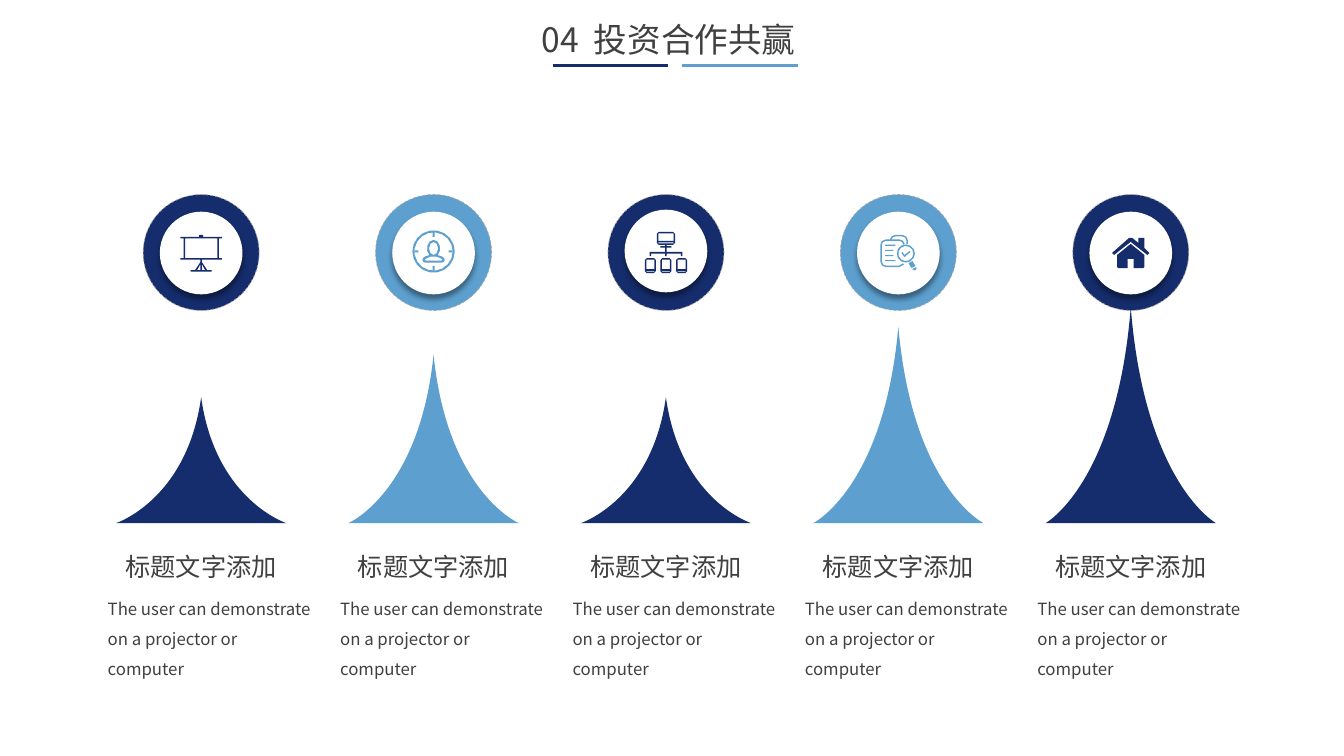
from dataclasses import dataclass
from math import cos, hypot, radians, sin

from lxml.etree import SubElement
from pptx import Presentation
from pptx.dml.color import RGBColor
from pptx.enum.dml import MSO_LINE
from pptx.enum.shapes import MSO_CONNECTOR, MSO_SHAPE
from pptx.enum.text import MSO_ANCHOR, MSO_AUTO_SIZE, PP_ALIGN
from pptx.oxml.ns import qn
from pptx.shapes.autoshape import Shape
from pptx.slide import Slide
from pptx.util import Inches, Pt

Point = tuple[float, float]
Outline = list[Point]

NAVY = RGBColor(0x15, 0x2D, 0x6C)
BLUE = RGBColor(0x5D, 0x9F, 0xCE)
WHITE = RGBColor(0xFF, 0xFF, 0xFF)
GREY = RGBColor(0xA6, 0xA6, 0xA6)
INK = RGBColor(0x40, 0x40, 0x40)
FONT = "Noto Sans CJK SC"
LEFT, PITCH = 1.995, 2.305
BASE, HALF = 5.19, 0.845
ICON_Y = 2.5


@dataclass
class Column:
    color: RGBColor
    peak: float
    bend: float
    icon: list[Outline]
    disc: float = 2.1


def arc(x: float, y: float, wide: float, high: float, start: float = 0, end: float = 360) -> Outline:
    steps = max(1, round((end - start) * wide ** 0.5 / 90))
    turns = [radians(start + (end - start) * i / steps) for i in range(steps + 1)]
    return [(x + wide * cos(t), y + high * sin(t)) for t in turns]


def box(left: float, top: float, right: float, bottom: float, curve: float = 0) -> Outline:
    if not curve:
        return [(left, top), (right, top), (right, bottom), (left, bottom)]
    spots = [(right - curve, bottom - curve), (left + curve, bottom - curve),
             (left + curve, top + curve), (right - curve, top + curve)]
    return [p for i, (x, y) in enumerate(spots)
            for p in arc(x, y, curve, curve, 90 * i, 90 * i + 90)]


def band(line: Outline, width: float) -> Outline:
    one, two = [], []
    for i, (x, y) in enumerate(line):
        before, after = line[max(i - 1, 0)], line[min(i + 1, len(line) - 1)]
        run, rise = after[0] - before[0], after[1] - before[1]
        size = hypot(run, rise) * 2 / width
        one.append((x - rise / size, y + run / size))
        two.append((x + rise / size, y - run / size))
    return one + two[::-1]


def mirror(side: Outline) -> Outline:
    return side + [(-x, y) for x, y in reversed(side)]


BOARD = [
    box(-2, -17, 2, -15), box(-20.5, -15, 20.5, -13.5),
    box(-17.5, -13.5, -16, 6), box(16, -13.5, 17.5, 6),
    box(-20.5, 6, 20.5, 7.5), box(-0.7, 7.5, 0.7, 10),
    mirror([(-6, 18), (-0.7, 10)]), box(-10.5, 18, 10.5, 19.5),
    [(-0.7, 12), (-0.7, 18), (-4, 18)], [(0.7, 12), (0.7, 18), (4, 18)],
]
TARGET = [
    arc(0, -0.5, 21, 21), arc(0, -0.5, 19, 19),
    box(-1, -19.3, 1, -15), box(-1, 14, 1, 18.3),
    box(-19.3, -1.5, -15, 0.5), box(15, -1.5, 19.3, 0.5),
    arc(0, -3.5, 6.5, 8.5, 130, 410)
    + mirror([(4.5, 3.2), (8, 4.3), (10.5, 6), (11, 8), (10, 10), (8, 10.5)]),
    arc(0, -3.5, 4.5, 6.5),
    mirror([(-2.5, 4.5), (-6.5, 5.9), (-8.8, 7.5), (-8.3, 8.4), (-7, 8.5)]),
]
NETWORK = [
    box(-9, -20, 9, -7, 2), box(-7.5, -18.5, 7.5, -11), box(-7.5, -9.5, 7.5, -8.5),
    box(-0.7, -7, 0.7, -5.7), box(-5.5, -5.7, 5.5, -4.3),
    box(-0.7, -4.3, 0.7, 0), box(-16.2, 0, 16.2, 1.6),
]
for mid in (-15.5, 0, 15.5):
    NETWORK += [
        box(mid - 0.7, 1.6, mid + 0.7, 4), box(mid - 5.5, 6, mid + 5.5, 21, 2),
        box(mid - 4, 7.5, mid + 4, 17), box(mid - 4, 18.7, mid + 4, 19.6),
    ]
SEARCH = [
    band(arc(1, 9.5, 4.7, 4.7, 30, 90) + arc(-12.5, 9.5, 4.7, 4.7, 90, 180)
         + arc(-12.5, -7, 4.7, 4.7, 180, 270) + arc(1, -7, 4.7, 4.7, 270, 350), 1.5),
    band(arc(-3, -11.5, 4.7, 4.7, 190, 270) + arc(4, -11.5, 4.7, 4.7, 270, 360)
         + [(8.7, -8)], 1.5),
    arc(7.4, 1.5, 9, 9), arc(7.4, 1.5, 7.5, 7.5),
    [(14, 9), (10, 11), (13, 16), (17, 14)],
    [(13.7, 17), (17.7, 15), (18, 17), (16, 18.3)],
    [(6, 3), (4, 0), (3, 1), (6, 5), (12, 0), (11, -1)],
    box(-13, -7.2, -3, -6), box(-13, -2.2, -5, -1),
    box(-13, 3, -5, 4.2), box(-13, 8, -3, 9.2),
]
HOUSE = [
    [(-18.5, 1), (-16.5, 3), (0, -10), (16.5, 3), (18.5, 1), (13.5, -4), (13.5, -14),
     (7.5, -14), (7.5, -9), (1.5, -14), (-1.5, -14)],
    mirror([(0, -8), (-13.5, 3), (-13.5, 15), (-12.5, 16), (-3, 16), (-3, 7)]),
]
COLUMNS = [
    Column(NAVY, 3.94, 4.96, BOARD),
    Column(BLUE, 3.52, 4.89, TARGET),
    Column(NAVY, 3.94, 4.96, NETWORK, 2.08),
    Column(BLUE, 3.24, 4.84, SEARCH),
    Column(NAVY, 3.05, 4.8, HOUSE),
]


def paint(shape: Shape, color: RGBColor) -> None:
    shape.shadow.inherit = False
    shape.fill.solid()
    shape.fill.fore_color.rgb = color
    shape.line.fill.background()


def draw(slide: Slide, parts: list[Outline], x: float, y: float, unit: float,
         color: RGBColor) -> Shape:
    parts = [[(Inches(x + a * unit), Inches(y + b * unit)) for a, b in part] for part in parts]
    pen = slide.shapes.build_freeform(*parts[0][0], scale=1.0)
    for i, part in enumerate(parts):
        if i:
            pen.move_to(*part[0])
        pen.add_line_segments(part[1:], close=True)
    shape = pen.convert_to_shape()
    paint(shape, color)
    return shape


def spike(slide: Slide, x: float, col: Column) -> None:
    left, tip, right = (-HALF, BASE), (0, col.peak), (HALF, BASE)
    shape = draw(slide, [[left, tip, right]], x, 0, 1, col.color)
    curves = [(left, (-0.14, col.bend), tip), ((0.14, col.bend), right, right)]
    sides = list(shape.element.iter(qn("a:lnTo")))
    for side, curve in zip(sides, curves):
        side.tag = qn("a:cubicBezTo")
        side.remove(side[0])
        for a, b in curve:
            SubElement(side, qn("a:pt"), x=str(Inches(a + HALF)), y=str(Inches(b - col.peak)))


def disc(slide: Slide, x: float, top: float, size: float, color: RGBColor) -> Shape:
    shape = slide.shapes.add_shape(
        MSO_SHAPE.OVAL, Inches(x - size / 2), Inches(top), Inches(size), Inches(size))
    paint(shape, color)
    return shape


def shade(shape: Shape) -> None:
    effects = shape.element.spPr.find(qn("a:effectLst"))
    outer = SubElement(effects, qn("a:outerShdw"), blurRad=str(Pt(4)), dist=str(Pt(3)),
                       dir="5400000", algn="t", rotWithShape="0")
    black = SubElement(outer, qn("a:srgbClr"), val="000000")
    SubElement(black, qn("a:alpha"), val="40000")


def put(shape: Shape, text: str, *, size: float, align: PP_ALIGN = PP_ALIGN.LEFT,
        lines: float = 1.0, gap: float = 0) -> None:
    frame = shape.text_frame
    frame.word_wrap = True
    frame.auto_size = MSO_AUTO_SIZE.SHAPE_TO_FIT_TEXT
    frame.vertical_anchor = MSO_ANCHOR.TOP
    para = frame.paragraphs[0]
    para.alignment = align
    para.line_spacing = lines
    for bit in text.partition(" ") if gap else (text,):
        run = para.add_run()
        run.text = bit
        run.font.size = Pt(size)
        run.font.name = FONT
        run.font.color.rgb = INK
        props = run.font._element
        SubElement(props, qn("a:ea"), typeface=FONT)
        if bit == " ":
            props.set("spc", str(round(gap * 100)))


def label(slide: Slide, x: float, y: float, wide: float, high: float, text: str, **style) -> None:
    put(slide.shapes.add_textbox(Inches(x), Inches(y), Inches(wide), Inches(high)), text, **style)


def rule(slide: Slide, x: float, color: RGBColor) -> None:
    line = slide.shapes.add_connector(
        MSO_CONNECTOR.STRAIGHT, Inches(x), Inches(0.65), Inches(x + 1.15), Inches(0.65))
    line.line.color.rgb = color
    line.line.width = Pt(2)
    SubElement(line.element.spPr, qn("a:effectLst"))


def main() -> None:
    deck = Presentation()
    deck.slide_width, deck.slide_height = Inches(13.33), Inches(7.5)
    slide = deck.slides.add_slide(deck.slide_layouts[5])
    title = slide.shapes.title
    title.left, title.top = Inches(5.27), Inches(0.14)
    title.width, title.height = Inches(2.88), Inches(0.5)
    put(title, "04 投资合作共赢", size=24, align=PP_ALIGN.JUSTIFY, gap=5.4)
    for i, col in enumerate(COLUMNS):
        x = LEFT + PITCH * i
        ring = disc(slide, x, 1.93, 1.15, col.color)
        ring.line.color.rgb = GREY
        ring.line.width = Pt(0.5)
        ring.line.dash_style = MSO_LINE.DASH
        shade(disc(slide, x, col.disc, 0.82, WHITE))
        draw(slide, col.icon, x, ICON_Y, 0.01, col.color)
        spike(slide, x, col)
        label(slide, x - 1.165, 5.42, 2.33, 0.4, "标题文字添加", size=18, align=PP_ALIGN.CENTER)
        label(slide, x - 1.025, 5.79, 2.28, 0.68,
              "The user can demonstrate on a projector or computer", size=12, lines=1.5)
    rule(slide, 5.48, NAVY)
    rule(slide, 6.76, BLUE)
    deck.save("out.pptx")


if __name__ == "__main__":
    main()
